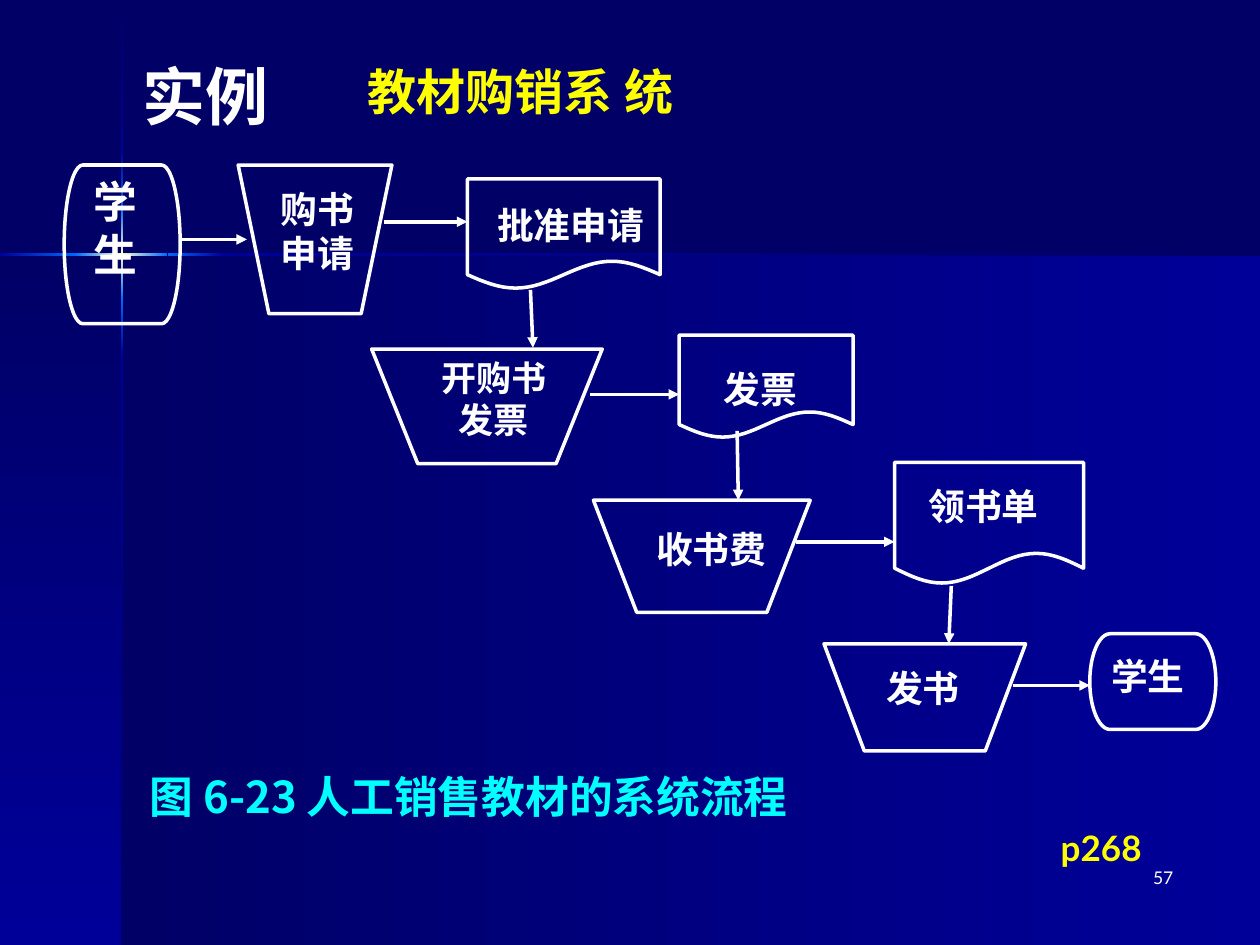
from math import pi, sin

from pptx import Presentation
from pptx.dml.color import RGBColor
from pptx.enum.shapes import MSO_CONNECTOR, MSO_SHAPE
from pptx.enum.text import MSO_ANCHOR, PP_ALIGN
from pptx.oxml import parse_xml
from pptx.oxml.ns import nsdecls, qn
from pptx.util import Inches, Pt

CJK, LATIN = "Noto Sans CJK SC", "Lato"
WHITE, YELLOW, CYAN = "FFFFFF", "FFFF00", "00FFFF"
NAVY, BLUE, AZURE, CREAM = "000066", "000099", "0066FF", "FFFFCC"
ACROSS, DOWN = 0, 90


def color(hex_code):
    return RGBColor.from_string(hex_code)


def write(frame, text, size=21, font=CJK, fill=WHITE, bold=True,
          align=PP_ALIGN.CENTER, margins=(0, 0), before=0):
    frame.word_wrap = True
    frame.vertical_anchor = MSO_ANCHOR.TOP
    frame.margin_left = frame.margin_right = Inches(margins[0])
    frame.margin_top = frame.margin_bottom = Inches(margins[1])
    for index, line in enumerate(text.split("\n")):
        paragraph = frame.add_paragraph() if index else frame.paragraphs[0]
        paragraph.alignment = align
        paragraph.space_before = Pt(before)
        paragraph.line_spacing = 1.0
        run = paragraph.add_run()
        run.text = line
        run.font.name = font
        run.font.size = Pt(size)
        run.font.bold = bold
        run.font.color.rgb = color(fill)
        east_asian = parse_xml(f'<a:ea {nsdecls("a")} typeface="{font}"/>')
        run.font._element.find(qn("a:latin")).addnext(east_asian)


class FlowSlide:
    def __init__(self, presentation, line_color=WHITE, line_width=2):
        self.slide = presentation.slides.add_slide(presentation.slide_layouts[5])
        self.shapes = self.slide.shapes
        self.line_color = line_color
        self.line_width = line_width

    def background(self, fill):
        self.slide.background.fill.solid()
        self.slide.background.fill.fore_color.rgb = color(fill)

    def gradient(self, box, stops, angle):
        panel = self.shapes.add_shape(MSO_SHAPE.RECTANGLE, *map(Inches, box))
        panel.shadow.inherit = False
        panel.line.fill.background()
        panel.fill.background()
        last = len(stops) - 1
        marks = "".join(
            f'<a:gs pos="{100000 * i // last}"><a:srgbClr val="{stop}"/></a:gs>'
            for i, stop in enumerate(stops))
        properties = panel._element.spPr
        properties.replace(properties.find(qn("a:noFill")), parse_xml(
            f'<a:gradFill {nsdecls("a")}><a:gsLst>{marks}</a:gsLst>'
            f'<a:lin ang="{angle * 60000}" scaled="0"/></a:gradFill>'))

    def title(self, text, box, **style):
        heading = self.shapes.title
        heading.left, heading.top, heading.width, heading.height = map(Inches, box)
        write(heading.text_frame, text, **style)

    def text(self, text, box, **style):
        write(self.shapes.add_textbox(*map(Inches, box)).text_frame, text, **style)

    def outline(self, step):
        step.shadow.inherit = False
        step.fill.background()
        self.stroke(step.line)

    def stroke(self, line):
        line.color.rgb = color(self.line_color)
        line.width = Pt(self.line_width)

    def step(self, kind, box):
        self.outline(self.shapes.add_shape(kind, *map(Inches, box)))

    def document(self, box, samples=32):
        """Draw a sheet whose lower edge is one full wave; height is that of its sides."""
        left, top, width, height = box
        wave = [(left + width * i / samples,
                 top + height * (1 + 0.14 * sin(2 * pi * i / samples)))
                for i in range(samples, -1, -1)]
        corners = [(left + width, top)] + wave
        builder = self.shapes.build_freeform(Inches(left), Inches(top))
        builder.add_line_segments([(Inches(x), Inches(y)) for x, y in corners], close=True)
        self.outline(builder.convert_to_shape())

    def arrow(self, start, end):
        flow = self.shapes.add_connector(MSO_CONNECTOR.STRAIGHT, *map(Inches, start + end))
        self.stroke(flow.line)
        flow.line._get_or_add_ln().append(
            parse_xml(f'<a:tailEnd {nsdecls("a")} type="triangle"/>'))
        flow._element.spPr.append(parse_xml(f'<a:effectLst {nsdecls("a")}/>'))


BACKDROP = [
    ((0.97, 2.02, 9.03, 5.48), (NAVY, BLUE), ACROSS),
    ((0, 2.02, 0.97, 5.48), (NAVY, BLUE), DOWN),
    ((0.96, 0.01, 0.02, 1.2), (NAVY, BLUE), DOWN),
    ((0.96, 2.82, 0.02, 4.68), (BLUE, NAVY), DOWN),
    ((1.77, 2.01, 8.23, 0.02), (BLUE, NAVY), ACROSS),
    ((0.96, 2.38, 0.02, 0.44), (AZURE, BLUE), DOWN),
    ((0.96, 1.21, 0.02, 0.44), (BLUE, AZURE), DOWN),
    ((0.96, 1.65, 0.02, 0.73), (AZURE, CREAM, AZURE), DOWN),
    ((0, 2.01, 0.61, 0.02), (BLUE, AZURE), ACROSS),
    ((1.33, 2.01, 0.44, 0.02), (AZURE, BLUE), ACROSS),
    ((0.6, 2.01, 0.73, 0.02), (AZURE, CREAM, AZURE), ACROSS),
]
STUDENTS = [(0.51, 1.31, 0.92, 1.26), (8.65, 5.03, 1, 0.76)]
OPERATIONS = [(1.89, 1.31, 1.22, 1.18), (2.95, 2.77, 1.83, 0.91),
              (4.71, 3.97, 1.72, 0.89), (6.54, 5.11, 1.6, 0.85)]
DOCUMENTS = [(3.71, 1.42, 1.53, 0.76), (5.39, 2.66, 1.38, 0.71), (7.1, 3.67, 1.5, 0.84)]
LABELS = [
    ("学\n生", (0.74, 1.39, 0.35, 0.83), 25),
    ("购书\n申请", (2.22, 1.48, 0.6, 0.7), 21),
    ("批准申请", (3.85, 1.61, 1.36, 0.35), 21),
    ("开购书\n发票", (3.03, 2.83, 1.78, 0.67), 20),
    ("发票", (5.53, 2.91, 1.01, 0.35), 21),
    ("收书费", (5.09, 4.18, 1.11, 0.35), 21),
    ("领书单", (7.07, 3.84, 1.47, 0.35), 21),
    ("发书", (6.84, 5.28, 0.97, 0.35), 21),
    ("学生", (8.79, 5.19, 0.64, 0.35), 21),
]
FLOWS = [
    ((1.43, 1.9), (1.96, 1.9)), ((3.05, 1.76), (3.71, 1.76)),
    ((4.21, 2.3), (4.23, 2.76)), ((4.68, 3.13), (5.39, 3.13)),
    ((5.85, 3.42), (5.86, 3.97)), ((6.32, 4.3), (7.1, 4.3)),
    ((7.55, 4.65), (7.53, 5.11)), ((8.04, 5.44), (8.65, 5.44)),
]


def main():
    presentation = Presentation()
    presentation.slide_width, presentation.slide_height = Inches(10), Inches(7.5)
    page = FlowSlide(presentation)
    page.background(NAVY)
    for box, stops, angle in BACKDROP:
        page.gradient(box, stops, angle)

    padded = {"font": LATIN, "margins": (0.1, 0.05)}
    page.title("实例", (0.98, 0.41, 1.3, 0.7), size=36, **padded)
    page.text("教材购销系 统", (2.4, 0.44, 3.46, 0.57), size=28, fill=YELLOW,
              before=7, **padded)

    for box in STUDENTS:
        page.step(MSO_SHAPE.FLOWCHART_TERMINATOR, box)
    for box in OPERATIONS:
        page.step(MSO_SHAPE.FLOWCHART_MANUAL_OPERATION, box)
    for box in DOCUMENTS:
        page.document(box)
    for start, end in FLOWS:
        page.arrow(start, end)
    for text, box, size in LABELS:
        page.text(text, box, size=size)

    page.text("图 6-23 人工销售教材的系统流程", (0, 6.11, 7.44, 0.42), size=25, fill=CYAN)
    page.text("p268", (8.07, 6.51, 1.34, 0.44), size=20, fill=YELLOW, **padded)
    page.text("57", (7.33, 6.83, 2.08, 0.5), size=10, bold=False,
              align=PP_ALIGN.RIGHT, **padded)
    presentation.save("out.pptx")


if __name__ == "__main__":
    main()
